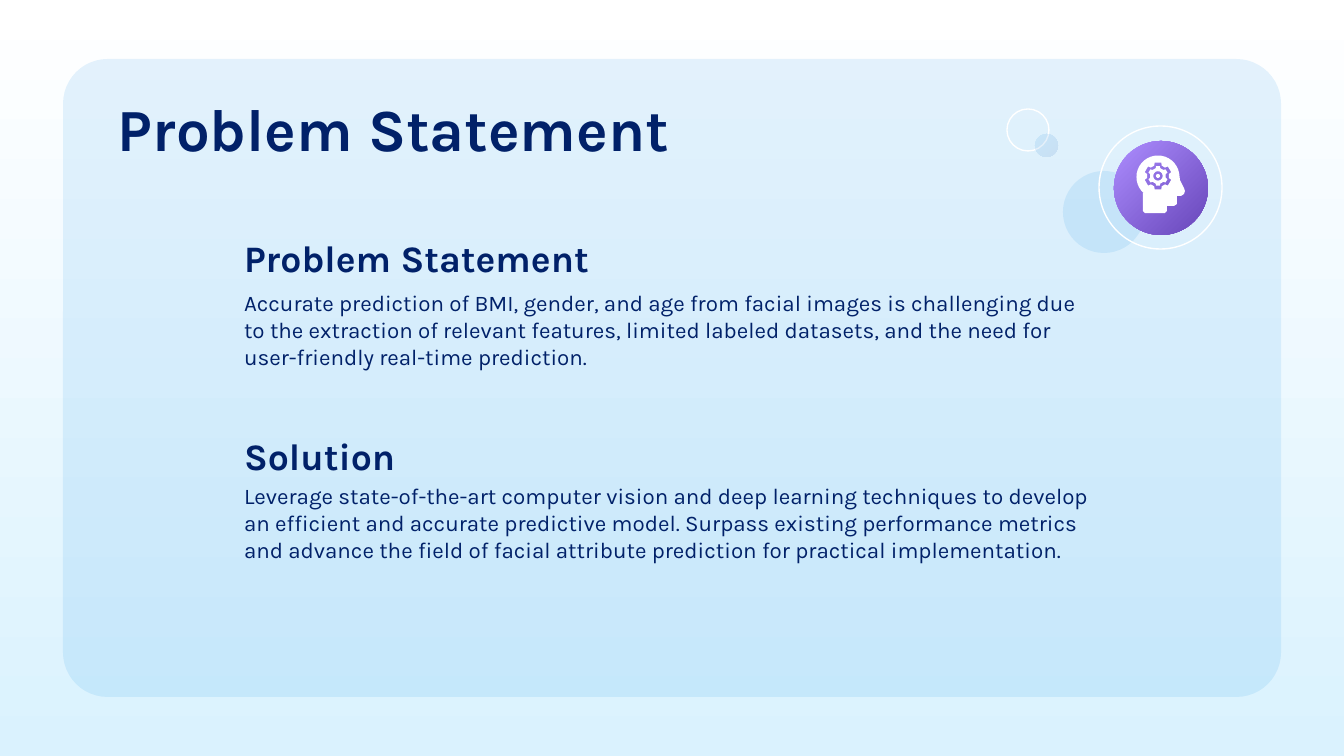
from math import cos, radians, sin

from lxml import etree
from pptx import Presentation
from pptx.dml.color import RGBColor
from pptx.enum.shapes import MSO_SHAPE
from pptx.enum.text import MSO_ANCHOR
from pptx.oxml.ns import qn
from pptx.util import Pt

PX = 914400 / 134.4
SUBUNITS = 10
FONT = "Karla"
NAVY, BLUE, WHITE = "012169", "0388E5", "FFFFFF"
OVAL = MSO_SHAPE.OVAL
ROUNDED = MSO_SHAPE.ROUNDED_RECTANGLE
TOP, BOTTOM = MSO_ANCHOR.TOP, MSO_ANCHOR.BOTTOM
GEAR_CENTER = (1158, 176)
HEAD_CENTER = (1158, 177)
FACE_AND_NECK = [
    (1180, 180), (1184, 188), (1185, 191), (1184, 194), (1181, 196),
    (1177, 196), (1177, 204), (1174, 206), (1167, 206), (1167, 211),
    (1165, 213), (1145, 213), (1143, 211), (1143, 193),
]
SECTIONS = [
    ("Problem Statement", 220, 276,
     "Accurate prediction of BMI, gender, and age from facial images is "
     "challenging due to the extraction of relevant features, limited labeled "
     "datasets, and the need for user-friendly real-time prediction."),
    ("Solution", 418, 469,
     "Leverage state-of-the-art computer vision and deep learning techniques "
     "to develop an efficient and accurate predictive model. Surpass existing "
     "performance metrics and advance the field of facial attribute prediction "
     "for practical implementation."),
]


def px(value):
    """Convert pixels to EMU."""
    return round(value * PX)


def color(value):
    """Turn a hex string into a colour."""
    return RGBColor.from_string(value)


def set_gradient(fill, start, end, angle):
    """Apply a two-stop linear gradient, its angle counted counterclockwise."""
    fill.gradient()
    fill.gradient_angle = angle
    for stop, value in zip(fill.gradient_stops, (start, end)):
        stop.color.rgb = color(value)


def style(shape, fill=None, gradient=None, line=None, opacity=100):
    """Set the fill, opacity and outline of a shape."""
    shape.shadow.inherit = False
    if gradient:
        set_gradient(shape.fill, *gradient, 315)
    elif fill:
        shape.fill.solid()
        shape.fill.fore_color.rgb = color(fill)
    else:
        shape.fill.background()
    if opacity < 100:
        for element in shape._element.spPr.iter(qn("a:srgbClr")):
            etree.SubElement(element, qn("a:alpha"), val=str(opacity * 1000))
    if line:
        shape.line.color.rgb = color(line)
        shape.line.width = Pt(0.75)
    else:
        shape.line.fill.background()


def add_preset(shapes, kind, left, top, width, height, **look):
    """Add a styled preset shape."""
    shape = shapes.add_shape(kind, px(left), px(top), px(width), px(height))
    style(shape, **look)
    return shape


def add_circle(shapes, left, top, size, **look):
    """Add a styled circle."""
    add_preset(shapes, OVAL, left, top, size, size, **look)


def add_text(slide, text, left, top, width, height, size, bold=False, anchor=TOP):
    """Add a text box with one run."""
    box = slide.shapes.add_textbox(px(left), px(top), px(width), px(height))
    frame = box.text_frame
    frame.word_wrap = True
    frame.vertical_anchor = anchor
    frame.margin_left = frame.margin_right = px(13)
    frame.margin_top = frame.margin_bottom = px(13)
    run = frame.paragraphs[0].add_run()
    run.text = text
    run.font.name = FONT
    run.font.size = Pt(size)
    run.font.bold = bold
    run.font.color.rgb = color(NAVY)


def arc(center, radius, start, end, step=10):
    """List points on an arc, with angles in degrees clockwise from the right."""
    return [(center[0] + radius * cos(radians(angle)),
             center[1] + radius * sin(radians(angle)))
            for angle in range(start, end + 1, step)]


def gear(tip, valley, tip_half, base_half):
    """List the outline points of a six-toothed gear."""
    corners = [(valley, -base_half), (tip, -tip_half),
               (tip, tip_half), (valley, base_half)]
    return [point for middle in range(-90, 270, 60)
            for radius, offset in corners
            for point in arc(GEAR_CENTER, radius, middle + offset, middle + offset)]


def add_outline(shapes, contours):
    """Add a white freeform whose inner contours are holes."""
    builder = None
    for contour in contours:
        points = [(x * SUBUNITS, y * SUBUNITS) for x, y in contour]
        if builder is None:
            builder = shapes.build_freeform(*points[0], scale=PX / SUBUNITS)
        else:
            builder.move_to(*points[0])
        builder.add_line_segments(points[1:], close=True)
    style(builder.convert_to_shape(), fill=WHITE)


def add_bubbles(shapes):
    """Add the loose decorative circles."""
    add_circle(shapes, 1063, 171, 82, fill=BLUE, opacity=10)
    add_circle(shapes, 1007, 109, 42, line=WHITE)
    add_circle(shapes, 1035, 134, 23, gradient=(BLUE, "0048A7"), opacity=10)


def add_badge(slide):
    """Add the purple badge with a head and gear."""
    shapes = slide.shapes.add_group_shape().shapes
    add_circle(shapes, 1099, 126, 123, line=WHITE)
    add_circle(shapes, 1114, 141, 94, gradient=("AD8DFF", "6746B9"))
    head = arc(HEAD_CENTER, 21.5, 130, 350) + FACE_AND_NECK
    add_outline(shapes, [head, gear(13.8, 11, 14, 20)])
    add_outline(shapes, [gear(10, 8, 11, 17), arc(GEAR_CENTER, 4.7, 0, 350)])
    add_circle(shapes, 1156, 174, 4, fill=WHITE)


def main():
    """Build and save the slide."""
    presentation = Presentation()
    presentation.slide_width, presentation.slide_height = px(1344), px(756)
    slide = presentation.slides.add_slide(presentation.slide_layouts[6])
    set_gradient(slide.background.fill, WHITE, "DAF2FE", 270)
    panel = add_preset(slide.shapes, ROUNDED, 63, 59, 1218, 638,
                       fill=BLUE, opacity=10)
    panel.adjustments[0] = 0.07
    add_text(slide, "Problem Statement", 105, 79, 1134, 98, 32, bold=True)
    for heading, heading_top, body_top, body in SECTIONS:
        add_text(slide, heading, 231, heading_top, 882, 73, 20, True, BOTTOM)
        add_text(slide, body, 231, body_top, 882, 105, 12)
    add_bubbles(slide.shapes)
    add_badge(slide)
    presentation.save("out.pptx")


if __name__ == "__main__":
    main()
